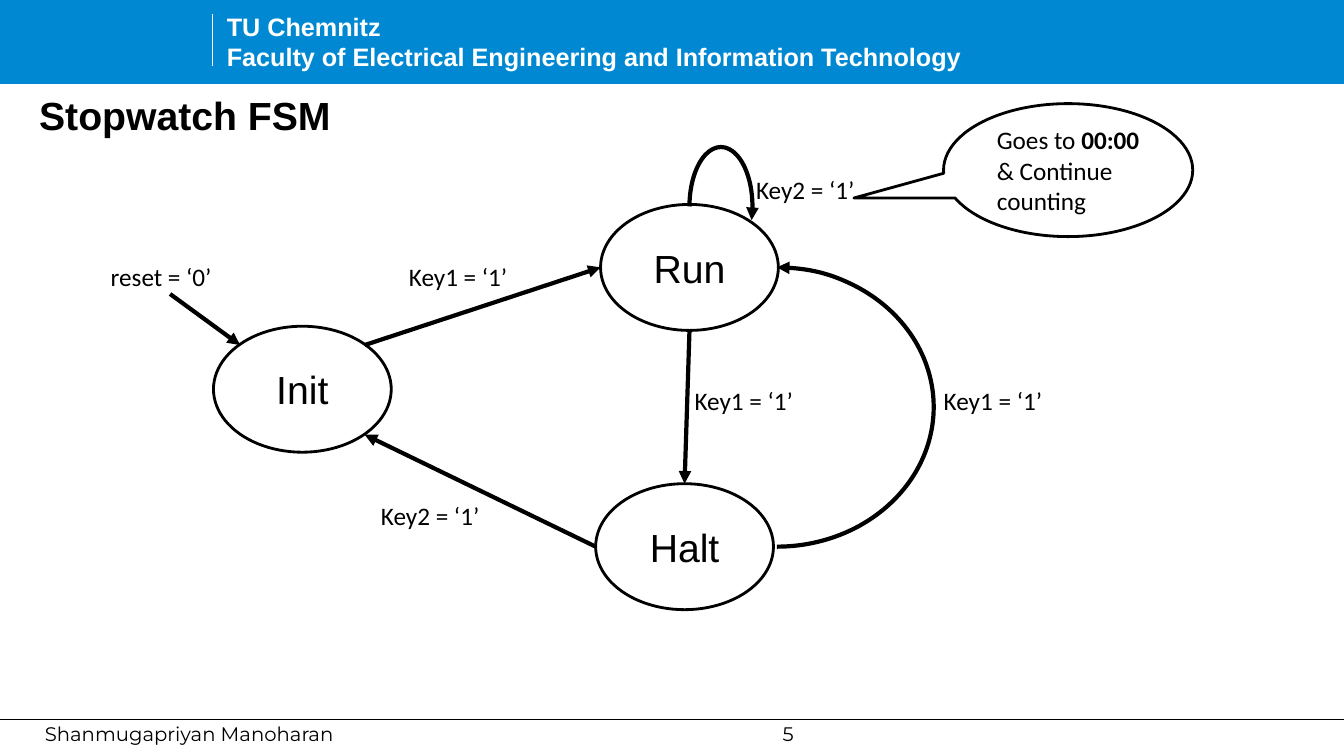
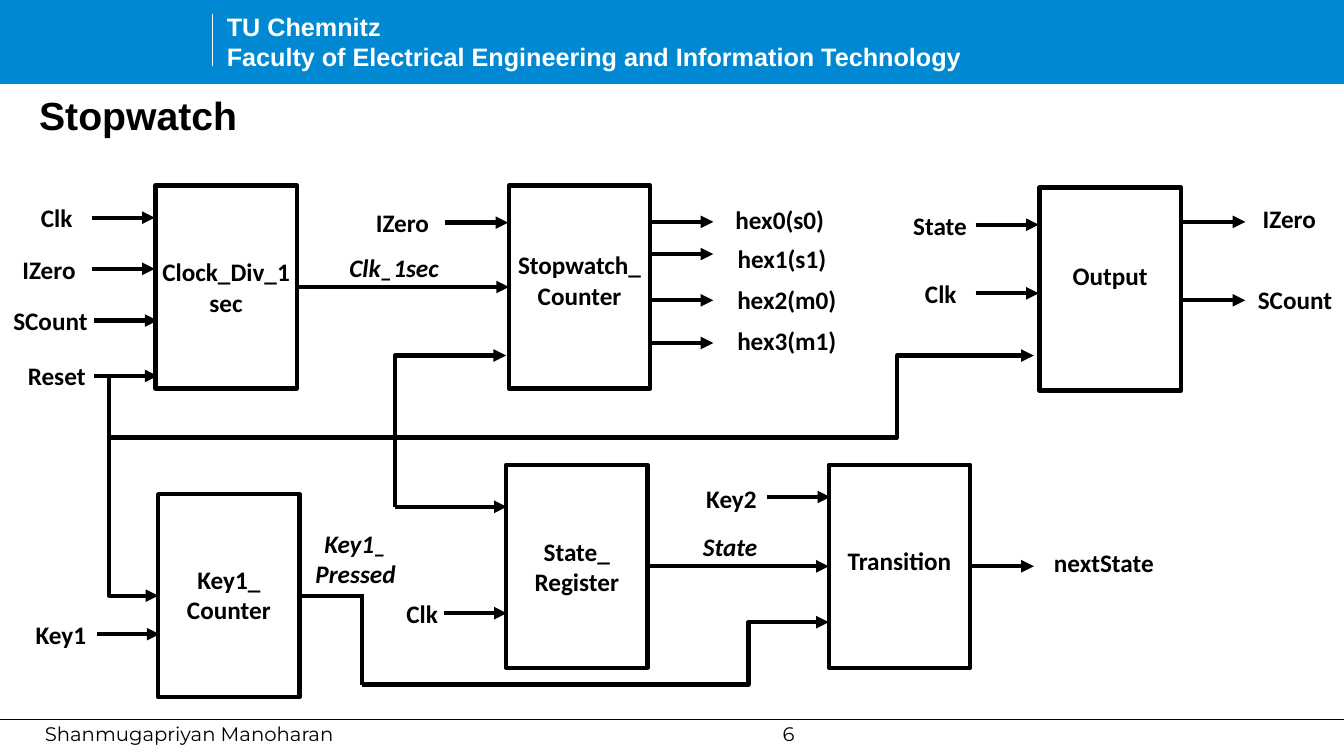
from lxml import etree
from pptx import Presentation
from pptx.dml.color import RGBColor
from pptx.enum import shapes, text
from pptx.oxml.ns import qn
from pptx.util import Pt

COLORS = {"band": "0089D2", "ink": "000000", "paper": "FFFFFF"}
LEFT, CENTER = text.PP_ALIGN.LEFT, text.PP_ALIGN.CENTER
KIND = shapes.MSO_SHAPE


def add_box(slide, frame, content="", kind=None, outline=0, fill=None, size=18, font="Calibri",
            bold=False, italic=False, color="ink", align=CENTER, side=0, top=3.6, bottom=3.6):
    frame = [Pt(value) for value in frame]
    if kind is None:
        shape = slide.shapes.add_textbox(*frame)
    else:
        shape = slide.shapes.add_shape(kind, *frame)
        shape.shadow.inherit = False
        if fill:
            shape.fill.solid()
            shape.fill.fore_color.rgb = RGBColor.from_string(COLORS[fill])
        else:
            shape.fill.background()
        if outline:
            shape.line.color.rgb = RGBColor.from_string(COLORS["ink"])
            shape.line.width = Pt(outline)
        else:
            shape.line.fill.background()
    text_frame = shape.text_frame
    text_frame.word_wrap = True
    text_frame.margin_left = text_frame.margin_right = Pt(side)
    text_frame.margin_top, text_frame.margin_bottom = Pt(top), Pt(bottom)
    if content:
        text_frame.text = content
        for paragraph in text_frame.paragraphs:
            paragraph.alignment = align
            paragraph.font.name = font
            paragraph.font.size = Pt(size)
            paragraph.font.bold = bold
            paragraph.font.italic = italic
            paragraph.font.color.rgb = RGBColor.from_string(COLORS[color])
    return shape


def add_line(slide, start, end, bend=None, arrow=True, weight=3, color="ink"):
    kind = shapes.MSO_CONNECTOR.STRAIGHT if bend is None else shapes.MSO_CONNECTOR.ELBOW
    connector = slide.shapes.add_connector(kind, *[Pt(value) for value in (*start, *end)])
    connector.line.color.rgb = RGBColor.from_string(COLORS[color])
    connector.line.width = Pt(weight)
    if arrow:
        etree.SubElement(connector.get_or_add_ln(), qn("a:tailEnd"), type="triangle")
    properties = connector._element.spPr
    etree.SubElement(properties, qn("a:effectLst"))
    if bend is not None:
        share = (bend - start[0]) / (end[0] - start[0])
        guides = properties.find(qn("a:prstGeom")).get_or_add_avLst()
        etree.SubElement(guides, qn("a:gd"), name="adj1", fmla=f"val {round(share * 100000)}")
    return connector


presentation = Presentation()
presentation.slide_width, presentation.slide_height = Pt(960), Pt(540)

slides = []
for number, title in [(5, "Stopwatch FSM"), (6, "Stopwatch")]:
    slide = presentation.slides.add_slide(presentation.slide_layouts[6])
    add_box(slide, (0, 0, 960, 60), kind=KIND.RECTANGLE, fill="band")
    add_line(slide, (152, 10), (152, 47), arrow=False, weight=0.75, color="paper")
    add_line(slide, (0, 514), (960, 514), arrow=False, weight=0.75)
    add_box(slide, (162, 8, 600, 44),
            "TU Chemnitz\nFaculty of Electrical Engineering and Information Technology",
            font="Arial", bold=True, color="paper", align=LEFT, top=0)
    add_box(slide, (28, 65, 900, 35), title, size=28, font="Arial", bold=True, align=LEFT, top=0)
    for x, width, footer in [(32, 395, "Shanmugapriyan Manoharan"), (559, 19, str(number))]:
        add_box(slide, (x, 516, width, 20), footer, size=14, font="Montserrat", align=LEFT, top=0)
    slides.append(slide)
fsm, diagram = slides

for name, x, y in [("Init", 152.5, 233), ("Run", 429, 146), ("Halt", 425.5, 345.5)]:
    add_box(fsm, (x, y, 127, 90), name, kind=KIND.OVAL, outline=2, size=28, font="Arial")

for start, end in [
    ((260.5, 246.5), (429, 191)),
    ((492.5, 236), (489, 345.5)),
    ((425.5, 390.5), (260.5, 310.5)),
    ((121.5, 210), (171.5, 246.5)),
]:
    add_line(fsm, start, end)

for frame, first_angle, last_angle, arrow_end in [
    ((443, 191, 224, 199.5), 270, 90, "a:headEnd"),
    ((492.5, 105, 45, 85), 180, 24, "a:tailEnd"),
]:
    arc = add_box(fsm, frame, kind=KIND.ARC, outline=3)
    arc.adjustments[0] = first_angle * 0.6
    arc.adjustments[1] = last_angle * 0.6
    etree.SubElement(arc.get_or_add_ln(), qn(arrow_end), type="triangle")

for label, x, y in [
    ("Key1 = ‘1’", 285, 183),
    ("Key1 = ‘1’", 489, 272),
    ("Key2 = ‘1’", 265, 354),
    ("Key1 = ‘1’", 667, 272),
    ("Key2 = ‘1’", 533, 121),
    ("reset = ‘0’", 72, 183),
]:
    add_box(fsm, (x, y, 96, 29), label, align=LEFT, side=7.2)

callout = add_box(fsm, (674, 74, 178, 95), "Goes to \n& Continue counting",
                  kind=KIND.OVAL_CALLOUT, outline=2, align=LEFT, side=12, top=0, bottom=0)
callout.adjustments[0], callout.adjustments[1] = -0.86, 0.21
callout.text_frame.margin_right = Pt(4)
zero_time = callout.text_frame.paragraphs[0].add_run()
zero_time.text = "00:00"
zero_time.font.bold = True

blocks = {}
for name, content, x, y, lift in [
    ("clock", "Clock_Div_1sec", 111, 132.5, 0),
    ("counter", "Stopwatch_\nCounter", 363.5, 132.5, 5),
    ("output", "Output", 742.5, 134, 10),
    ("key", "Key1_\nCounter", 113, 353, 1),
    ("register", "State_\nRegister", 361.5, 332, 0),
    ("transition", "Transition", 592, 332, 4),
]:
    blocks[name] = add_box(diagram, (x, y, 101, 145), content, kind=KIND.RECTANGLE, outline=3,
                           bold=True, side=3.6, bottom=3.6 + 2 * lift)

signals = [
    ("Clk", 40.5, 141, 65.5, 155.5),
    ("IZero", 35, 178, 65.5, 192),
    ("SCount", 36, 214.5, 67.5, 229),
    ("Reset", 40.5, 254, 67.5, 268.5),
    ("Key1", 43.5, 439, 69, 453),
    ("IZero", 287.5, 144.5, 318, 159),
    ("Clk", 301.5, 423.5, 317, 438),
    ("Key2", 522.5, 341.5, 548, 355),
    ("State", 671.5, 147, 697, 160.5),
    ("Clk", 672, 195, 697, 209.5),
    ("hex0(s0)", 557, 142.5, 464.5, 158.5),
    ("hex1(s1)", 558.5, 170.5, 464.5, 181.5),
    ("hex2(m0)", 562, 199.5, 464.5, 214.5),
    ("hex3(m1)", 562, 229, 464.5, 245),
    ("IZero", 921, 142, 844.5, 158.5),
    ("SCount", 925, 199.5, 844.5, 214.5),
]
for label, center, top, x, y in signals:
    width = 12 + 8 * len(label)
    add_box(diagram, (center - width / 2, top, width, 29), label, bold=True)
    add_line(diagram, (x, y), (x + 45, y))

for label, center, top, italic in [
    ("Clk_1sec", 281.5, 177, True),
    ("Key1_\nPressed", 254, 373.5, True),
    ("State", 521.5, 376, True),
    ("nextState", 788.5, 387.5, False),
]:
    add_box(diagram, (center - 42, top, 84, 29 + 22 * label.count("\n")), label,
            bold=True, italic=italic)

for source, target, start, end, arrow in [
    ("clock", "counter", (212, 205), (363.5, 205), True),
    ("register", "transition", (462.5, 404.5), (592, 404.5), True),
    ("transition", None, (693, 404.5), (738.5, 404.5), True),
    ("key", None, (214, 425.5), (258.5, 425.5), False),
]:
    connector = add_line(diagram, start, end, arrow=arrow)
    connector.begin_connect(blocks[source], 3)
    if target:
        connector.end_connect(blocks[target], 1)

add_line(diagram, (258.5, 424), (258.5, 489), arrow=False)
add_line(diagram, (282, 306), (282, 362), arrow=False)
add_line(diagram, (282, 362), (362, 362))

for start, end, bend in [
    ((76, 268.5), (113, 425.5), 78),
    ((78, 312.5), (361.5, 254), 282),
    ((282, 312.5), (738.5, 254), 641),
    ((258.5, 489), (592, 444.5), 534.5),
]:
    add_line(diagram, start, end, bend=bend)

presentation.save("out.pptx")
